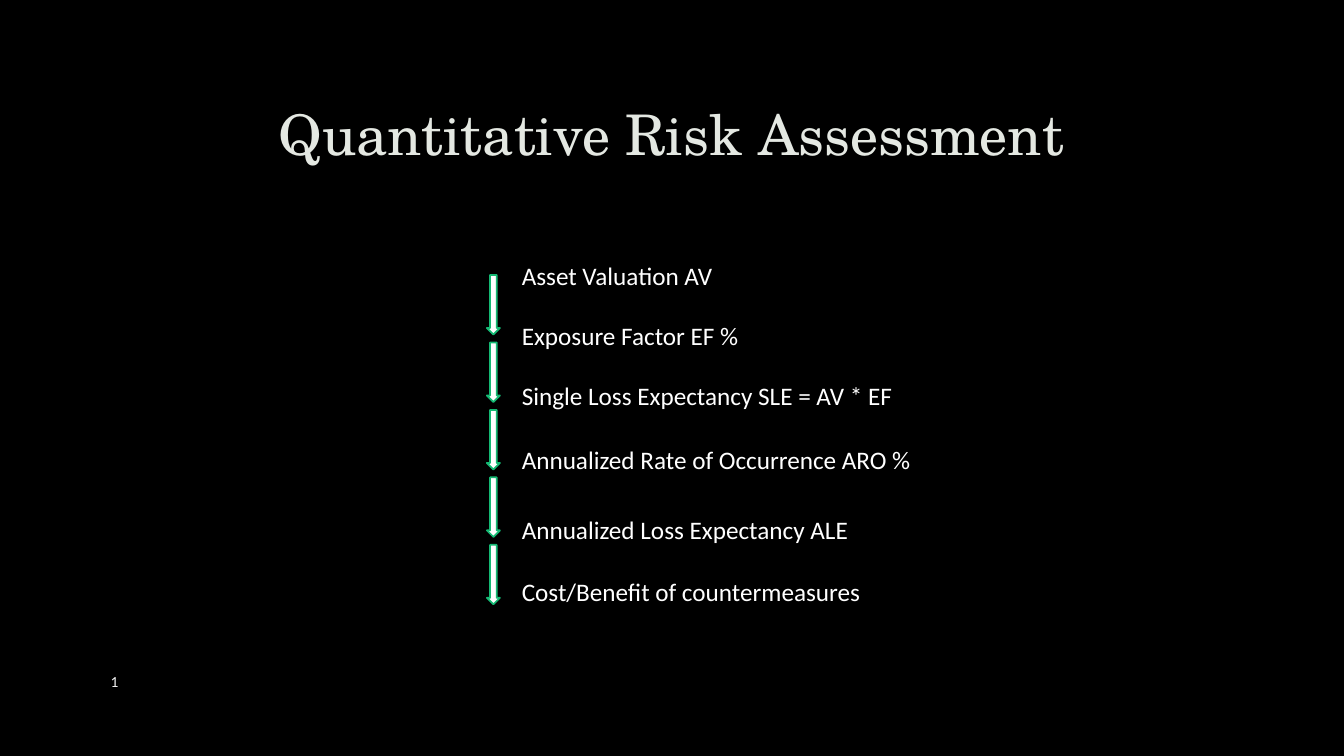
from pptx import Presentation
from pptx.dml.color import RGBColor
from pptx.enum.shapes import MSO_SHAPE
from pptx.enum.text import MSO_ANCHOR, PP_ALIGN
from pptx.util import Cm, Pt

DOWN_ARROW = MSO_SHAPE.DOWN_ARROW
TOP, MIDDLE = MSO_ANCHOR.TOP, MSO_ANCHOR.MIDDLE
CENTER = PP_ALIGN.CENTER

BLACK = RGBColor(0x00, 0x00, 0x00)
WHITE = RGBColor(0xFF, 0xFF, 0xFF)
PALE_GREY = RGBColor(0xF2, 0xF2, 0xF2)
TITLE_COLOR = RGBColor(0xE4, 0xE8, 0xE2)
GREEN = RGBColor(0x14, 0xB9, 0x73)

TITLE_ONLY_LAYOUT = 5

# Each step: wording, top and width in centimetres
STEPS = [
    ("Asset Valuation AV", 6.43, 5.97),
    ("Exposure Factor EF %", 7.95, 7.39),
    ("Single Loss Expectancy SLE = AV * EF", 9.45, 13.54),
    ("Annualized Rate of Occurrence ARO %", 11.07, 10.64),
    ("Annualized Loss Expectancy ALE", 12.83, 9.98),
    ("Cost/Benefit of countermeasures", 14.4, 10.36),
]
STEP_LEFT, LINE_HEIGHT = 12.9, 1.02
ARROW_LEFT, ARROW_TOP, ARROW_PITCH = 12.27, 6.93, 1.7
ARROW_WIDTH, ARROW_HEIGHT = 0.33, 1.5


class SlideBuilder:
    """Holds the style and the current slide."""

    title_font = "TeX Gyre Schola"
    body_font = "Calibri"

    def __init__(self, presentation):
        layout = presentation.slide_layouts[TITLE_ONLY_LAYOUT]
        self.slide = presentation.slides.add_slide(layout)
        fill = self.slide.background.fill
        fill.solid()
        fill.fore_color.rgb = BLACK

    def set_text(self, shape, text, font_name, size, color, anchor):
        frame = shape.text_frame
        frame.word_wrap = True
        frame.vertical_anchor = anchor
        paragraph = frame.paragraphs[0]
        paragraph.text = text
        paragraph.font.name = font_name
        paragraph.font.size = Pt(size)
        paragraph.font.color.rgb = color
        return paragraph

    def title(self, text, left, top, width, height):
        shape = self.slide.shapes.title
        shape.left, shape.top = Cm(left), Cm(top)
        shape.width, shape.height = Cm(width), Cm(height)
        paragraph = self.set_text(shape, text, self.title_font, 40, TITLE_COLOR, MIDDLE)
        paragraph.alignment = CENTER
        paragraph.line_spacing = 0.9

    def label(self, text, left, top, width, size=18, color=WHITE, anchor=TOP):
        shape = self.slide.shapes.add_textbox(
            Cm(left), Cm(top), Cm(width), Cm(LINE_HEIGHT))
        self.set_text(shape, text, self.body_font, size, color, anchor)

    def arrow(self, left, top, width, height):
        shape = self.slide.shapes.add_shape(
            DOWN_ARROW, Cm(left), Cm(top), Cm(width), Cm(height))
        shape.shadow.inherit = False
        shape.fill.solid()
        shape.fill.fore_color.rgb = WHITE
        shape.line.color.rgb = GREEN
        shape.line.width = Pt(1.25)


def main():
    presentation = Presentation()
    presentation.slide_width = Cm(33.87)
    presentation.slide_height = Cm(19.05)
    builder = SlideBuilder(presentation)

    # Title and slide number
    builder.title("Quantitative Risk Assessment", 2.54, 1.7, 28.75, 3.5)
    builder.label("1", 2.54, 16.66, 18.54, size=11, color=PALE_GREY, anchor=MIDDLE)

    # Assessment steps
    for text, top, width in STEPS:
        builder.label(text, STEP_LEFT, top, width)

    # One arrow from each step to the next
    for index in range(len(STEPS) - 1):
        builder.arrow(ARROW_LEFT, ARROW_TOP + index * ARROW_PITCH,
                      ARROW_WIDTH, ARROW_HEIGHT)

    presentation.save("out.pptx")


if __name__ == "__main__":
    main()
